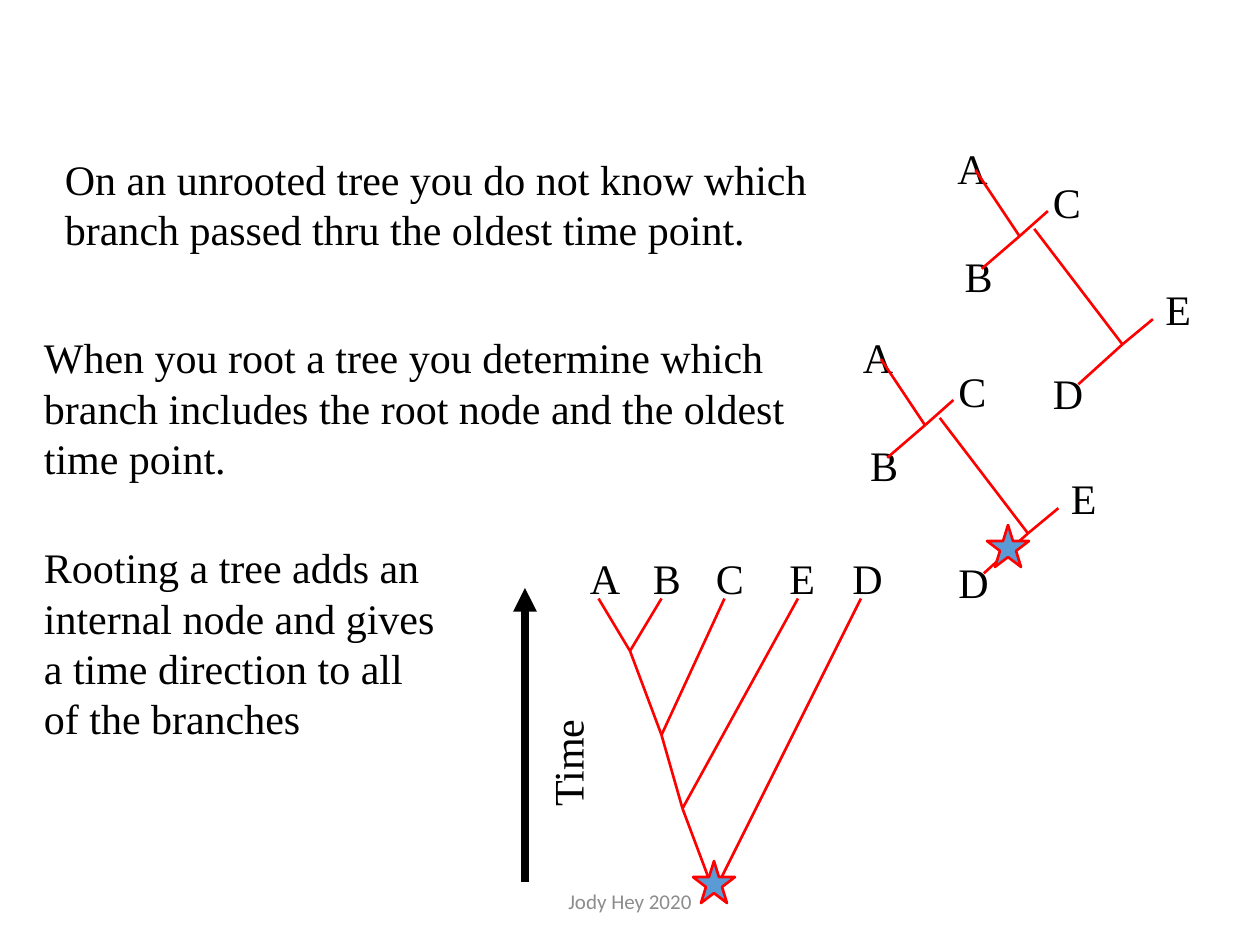
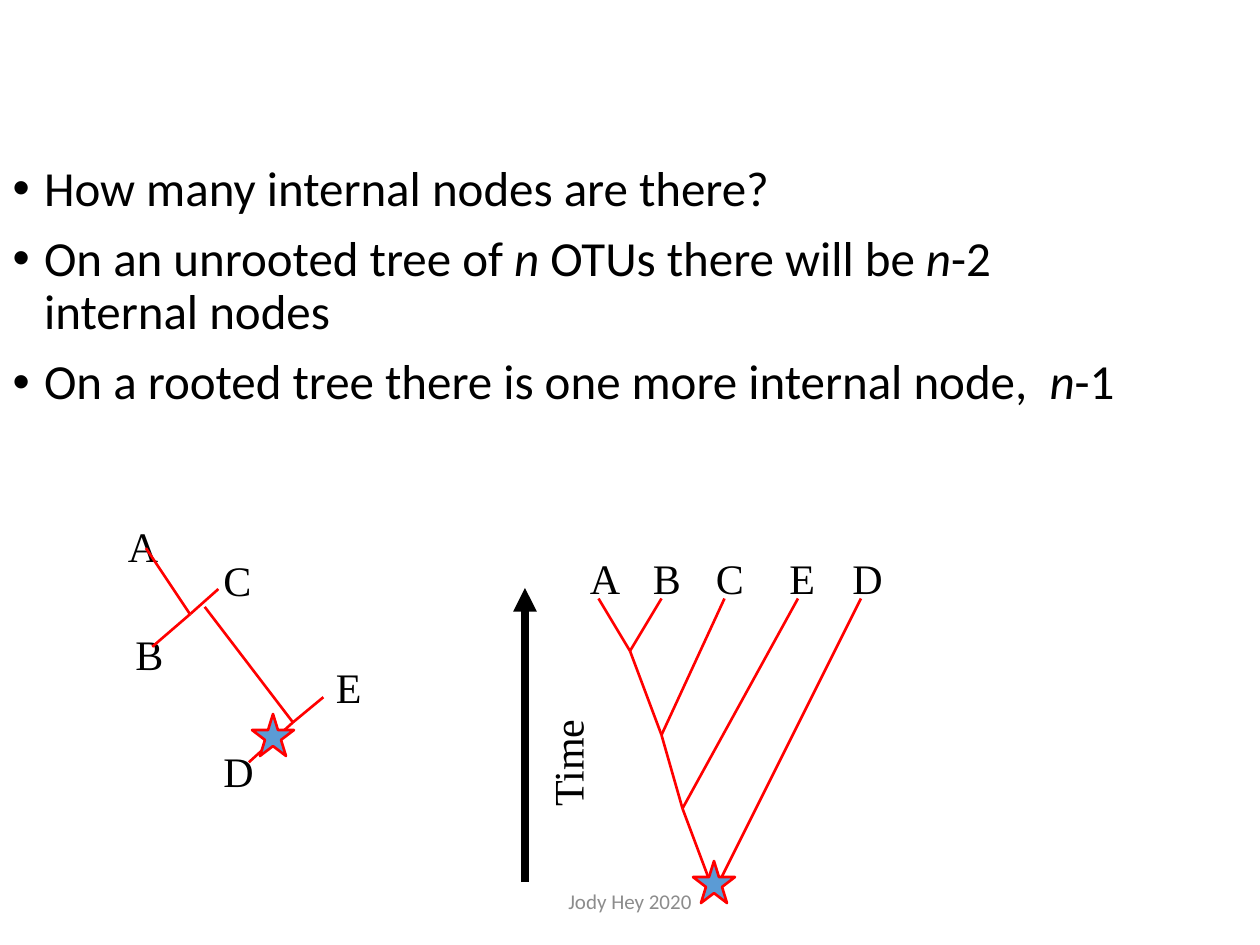
from itertools import chain
from lxml.etree import SubElement as Sub
from pptx import Presentation as Deck
from pptx.dml.color import RGBColor as Rgb
from pptx.enum.shapes import MSO_CONNECTOR as Wire, MSO_SHAPE as Form
from pptx.enum.text import MSO_ANCHOR as Anchor, MSO_AUTO_SIZE as Fit, PP_ALIGN as Align
from pptx.oxml.ns import qn
from pptx.util import Inches, Pt

# Shared look
RED, BLUE, BLACK, GREY = "FF0000", "5B9BD5", "000000", "8C8C8C"
SERIF = {"name": "Times New Roman", "size": Pt(24)}
SMALL = {"name": "Calibri", "size": Pt(12)}
LIST = {"name": "Calibri", "size": Pt(28)}
GROW = {"word_wrap": True, "auto_size": Fit.SHAPE_TO_FIT_TEXT}
FIXED = {"word_wrap": True, "auto_size": Fit.NONE}


def paint(fill, code):
    fill.solid()
    fill.fore_color.rgb = Rgb.from_string(code)


def dress(item, form):
    for key, value in form.items():
        setattr(item, key, value)


deck = Deck()
dress(deck, {"slide_width": Inches(10), "slide_height": Inches(7.5)})
CELL = deck.slide_width // 120  # grid of 120 columns by 90 rows

# Unrooted tree, in cells from its top left corner
tips = {"D": (9.1, 21.4), "E": (19.8, 13.4), "C": (9.1, 3.2), "B": (0.7, 10.3), "A": (0, 0)}
twigs = [(2.9, 3.2, 7.1, 9.5), (7.1, 9.5, 3.5, 12.6), (7.1, 9.5, 9.8, 7.1),
         (8.5, 8.8, 16.9, 19.8), (16.9, 19.8, 19.8, 17.4), (16.9, 19.8, 12.7, 23.6)]

# Rooted tree: a stem of nodes, each with one branch up to a leaf
leaves = {"A": 55, "B": 61, "C": 67, "E": 74, "D": 80}
stem = [(57, 57), (60, 62), (63, 70), (65, 77), (68, 85)]
tops = [63, 69, 76, 82]
limbs = [(*a, *b) for a, b in zip(stem, stem[1:])]
limbs += [(*node, top, 57) for node, top in zip(stem[1:], tops)]

# Content of each slide: layout, notes, list, tree corners, stars
pages = [
    {"layout": 6,
     "notes": [
         ("On an unrooted tree you do not know which branch passed thru the oldest time point.",
          (5, 14, 75, 10.8)),
         ("When you root a tree you determine which branch includes the root node "
          "and the oldest time point.", (3, 31, 75, 15.6)),
         ("Rooting a tree adds an internal node and gives a time direction to all of the branches",
          (3, 51, 40, 20.4))],
     "points": [],
     "trees": [(90, 13), (81, 31)],
     "stars": [(94, 50), (66, 82)]},
    {"layout": 1,
     "notes": [],
     # Every second run is italic
     "points": [
         ["How many internal nodes are there?"],
         ["On an unrooted tree of ", "n ", "OTUs there will be ", "n", "-2  internal nodes"],
         ["On a rooted tree there is one more internal node,  ", "n", "-1"]],
     "trees": [(11, 49)],
     "stars": [(24, 68), (66, 82)]},
]

for page in pages:
    slide = deck.slides.add_slide(deck.slide_layouts[page["layout"]])
    shapes = slide.shapes

    # Bullet list
    if page["points"]:
        title = shapes.title.element
        title.getparent().remove(title)
        body = slide.placeholders[1]
        dress(body, {"left": 0, "top": 15 * CELL, "width": 108 * CELL, "height": 33 * CELL})
        frame = body.text_frame
        dress(frame, FIXED)
        for rank, point in enumerate(page["points"]):
            para = frame.add_paragraph() if rank else frame.paragraphs[0]
            dress(para, {"line_spacing": 0.9, "space_before": Pt(10)})
            props = para._p.get_or_add_pPr()
            props.set("marL", str(3 * CELL))
            props.set("indent", str(-3 * CELL))
            for turn, words in enumerate(point):
                run = para.add_run()
                run.text = words
                dress(run.font, LIST | {"italic": turn % 2 == 1})
                paint(run.font.fill, BLACK)

    # Notes and tree labels
    marks = [(name, (x + dx, y + dy, 4.2, 6))
             for x, y in page["trees"] for name, (dx, dy) in tips.items()]
    marks += [(name, (x, 52, 6, 6)) for name, x in leaves.items()]
    marks += [("Time", (46, 67, 16, 6))]
    for words, box in chain(page["notes"], marks):
        label = shapes.add_textbox(*[int(v * CELL) for v in box])
        label.rotation = 270 if words == "Time" else 0
        dress(label.text_frame, GROW)
        para = label.text_frame.paragraphs[0]
        gap = Sub(para._p.get_or_add_pPr(), qn("a:spcBef"))
        Sub(gap, qn("a:spcPct"), val="50000")
        run = para.add_run()
        run.text = words
        dress(run.font, SERIF)
        paint(run.font.fill, BLACK)

    # Branches and the time arrow
    lines = [((x + a, y + b, x + c, y + d), RED, 1.5)
             for x, y in page["trees"] for a, b, c, d in twigs]
    lines += [(limb, RED, 1.5) for limb in limbs]
    lines += [((50, 84, 50, 56), BLACK, 4.5)]
    for ends, code, width in lines:
        wire = shapes.add_connector(Wire.STRAIGHT, *[int(v * CELL) for v in ends])
        wire.line.width = Pt(width)
        paint(wire.line.fill, code)
        props = wire.element.spPr
        if code == BLACK:
            Sub(props.find(qn("a:ln")), qn("a:tailEnd"), type="triangle")
        Sub(props, qn("a:effectLst"))

    # Root stars
    for x, y in page["stars"]:
        star = shapes.add_shape(Form.STAR_5_POINT, x * CELL, y * CELL, 4 * CELL, 4 * CELL)
        star.shadow.inherit = False
        paint(star.fill, BLUE)
        paint(star.line.fill, RED)
        star.line.width = Pt(1.5)

    # Footer
    foot = shapes.add_textbox(*[int(v * CELL) for v in (39.7, 83.4, 40.6, 4.8)])
    dress(foot.text_frame, FIXED | {"vertical_anchor": Anchor.MIDDLE})
    para = foot.text_frame.paragraphs[0]
    para.alignment = Align.CENTER
    run = para.add_run()
    run.text = "Jody Hey 2020"
    dress(run.font, SMALL)
    paint(run.font.fill, GREY)

deck.save("out.pptx")
